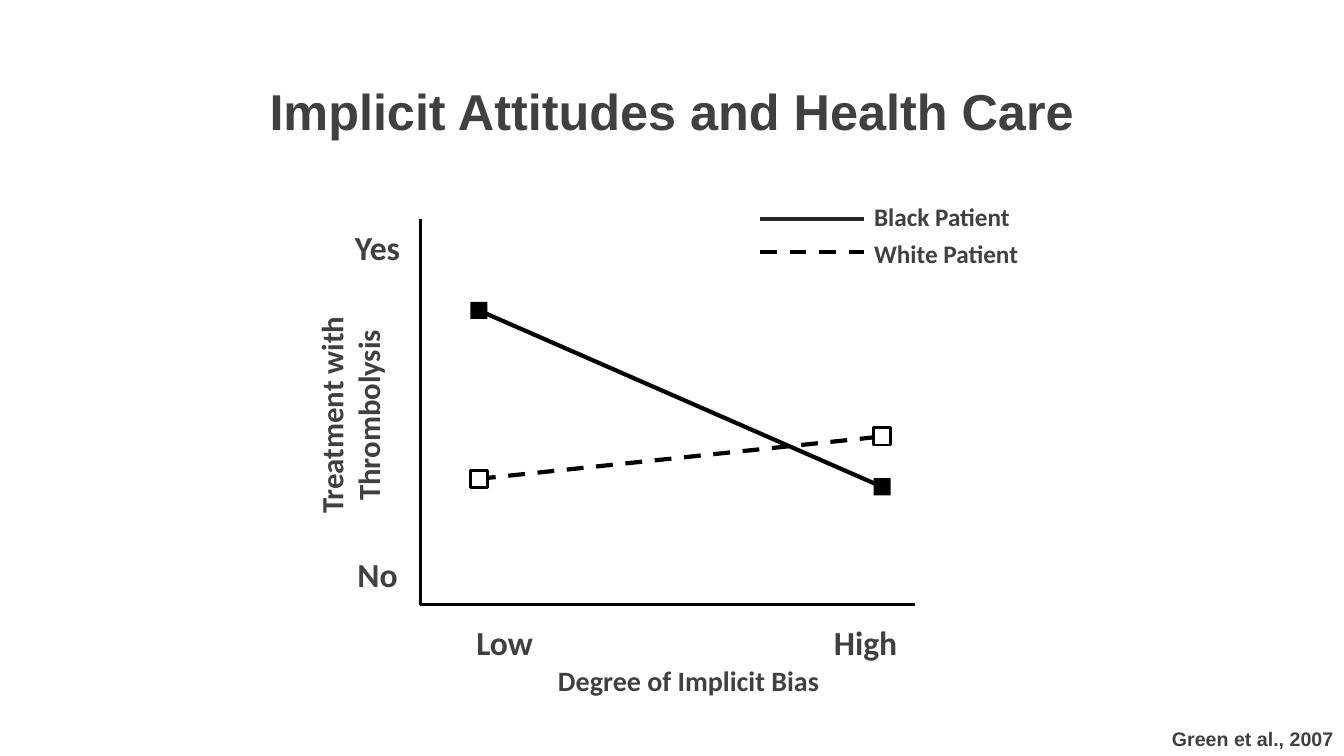
from lxml import etree
from pptx import Presentation
from pptx.dml.color import RGBColor
from pptx.enum.dml import MSO_LINE
from pptx.enum.shapes import MSO_CONNECTOR, MSO_SHAPE
from pptx.enum.text import MSO_ANCHOR, PP_ALIGN
from pptx.oxml.ns import qn
from pptx.util import Emu, Pt

STRAIGHT = MSO_CONNECTOR.STRAIGHT
RECTANGLE = MSO_SHAPE.RECTANGLE
DASH = MSO_LINE.DASH
TOP, MIDDLE = MSO_ANCHOR.TOP, MSO_ANCHOR.MIDDLE
LEFT, CENTER = PP_ALIGN.LEFT, PP_ALIGN.CENTER

EMU_PER_PX = 9144  # 100 px to the inch
SLIDE_W, SLIDE_H = 1333, 750
INK, LEGEND_INK, TEXT_INK, PAPER = "000000", "262626", "404040", "FFFFFF"
MARKER = 17


def px(length):
    return Emu(round(length * EMU_PER_PX))


def color(hex_code):
    return RGBColor.from_string(hex_code)


def add_label(slide, box, text, size, font="Calibri", align=CENTER,
              anchor=TOP, inset=(0, 0), wrap=True):
    label = slide.shapes.add_textbox(*map(px, box))
    frame = label.text_frame
    frame.word_wrap = wrap
    frame.vertical_anchor = anchor
    frame.margin_left = frame.margin_right = px(inset[0])
    frame.margin_top = frame.margin_bottom = px(inset[1])
    paragraph = frame.paragraphs[0]
    paragraph.alignment = align
    run = paragraph.add_run()
    run.text = text
    run.font.name = font
    run.font.size = Pt(size)
    run.font.bold = True
    run.font.color.rgb = color(TEXT_INK)
    return label


def add_line(slide, start, end, width, ink=INK, dash=None):
    line = slide.shapes.add_connector(STRAIGHT, *map(px, (*start, *end)))
    line.line.color.rgb = color(ink)
    line.line.width = Pt(width)
    if dash is not None:
        line.line.dash_style = dash
    etree.SubElement(line._element.spPr, qn("a:effectLst"))


def add_marker(slide, center, fill):
    x, y = center
    marker = slide.shapes.add_shape(
        RECTANGLE, px(x - MARKER / 2), px(y - MARKER / 2), px(MARKER), px(MARKER))
    marker.shadow.inherit = False
    marker.fill.solid()
    marker.fill.fore_color.rgb = color(fill)
    if fill == INK:
        marker.line.fill.background()
    else:
        marker.line.color.rgb = color(INK)
        marker.line.width = Pt(2)


def draw_title(slide, box):
    add_label(slide, box, "Implicit Attitudes and Health Care", 36, "Arial",
              anchor=MIDDLE, inset=(10, 5))


def draw_plot(slide, box):
    left, top, width, height = box
    bottom = top + height

    # Axes
    add_line(slide, (left, top), (left, bottom), 2)
    add_line(slide, (left + width, bottom), (left, bottom), 2)

    # Axis ends and titles
    for answer, y in (("Yes", top + 8), ("No", bottom - 50)):
        add_label(slide, (left - 84, y, 83, 40), answer, 24)
    for level, x in (("Low", left + 50), ("High", left + 408)):
        add_label(slide, (x, bottom + 17, 67, 40), level, 24)
    add_label(slide, (left - 9, bottom + 58, 550, 34),
              "Degree of Implicit Bias", 20)
    treatment = add_label(slide, (left - 241, top + 153, 342, 84),
                          "Treatment with Thrombolysis", 22, inset=(10, 5))
    treatment.rotation = 270

    # Series: heights at low and high bias, dash, marker fill
    low_x, high_x = left + 58, left + 458
    series = ((91, 266, None, INK), (258, 216, DASH, PAPER))
    for low, high, dash, fill in series:
        ends = (low_x, top + low), (high_x, top + high)
        add_line(slide, *ends, 3, dash=dash)
        for end in ends:
            add_marker(slide, end, fill)


def draw_legend(slide, box):
    left, top, width, row_height = box
    entries = (("Black Patient", 17, LEGEND_INK, None),
               ("White Patient", 50, INK, DASH))
    for row, (patient, line_y, ink, dash) in enumerate(entries):
        add_line(slide, (left, top + line_y), (left + 103, top + line_y),
                 3, ink, dash)
        add_label(slide, (left + 113, top + row * row_height, width - 113, 30),
                  patient, 18, align=LEFT)


def draw_citation(slide, box):
    add_label(slide, box, "Green et al., 2007", 14, "Arial",
              inset=(10, 5), wrap=False)


def main():
    deck = Presentation()
    deck.slide_width, deck.slide_height = px(SLIDE_W), px(SLIDE_H)
    slide = deck.slides.add_slide(deck.slide_layouts[6])
    slide.background.fill.solid()
    slide.background.fill.fore_color.rgb = color(PAPER)

    draw_plot(slide, (417, 217, 491, 383))
    draw_legend(slide, (754, 200, 346, 36))
    draw_title(slide, (0, 47, SLIDE_W, 125))
    draw_citation(slide, (1152, 716, 181, 34))
    deck.save("out.pptx")


if __name__ == "__main__":
    main()
